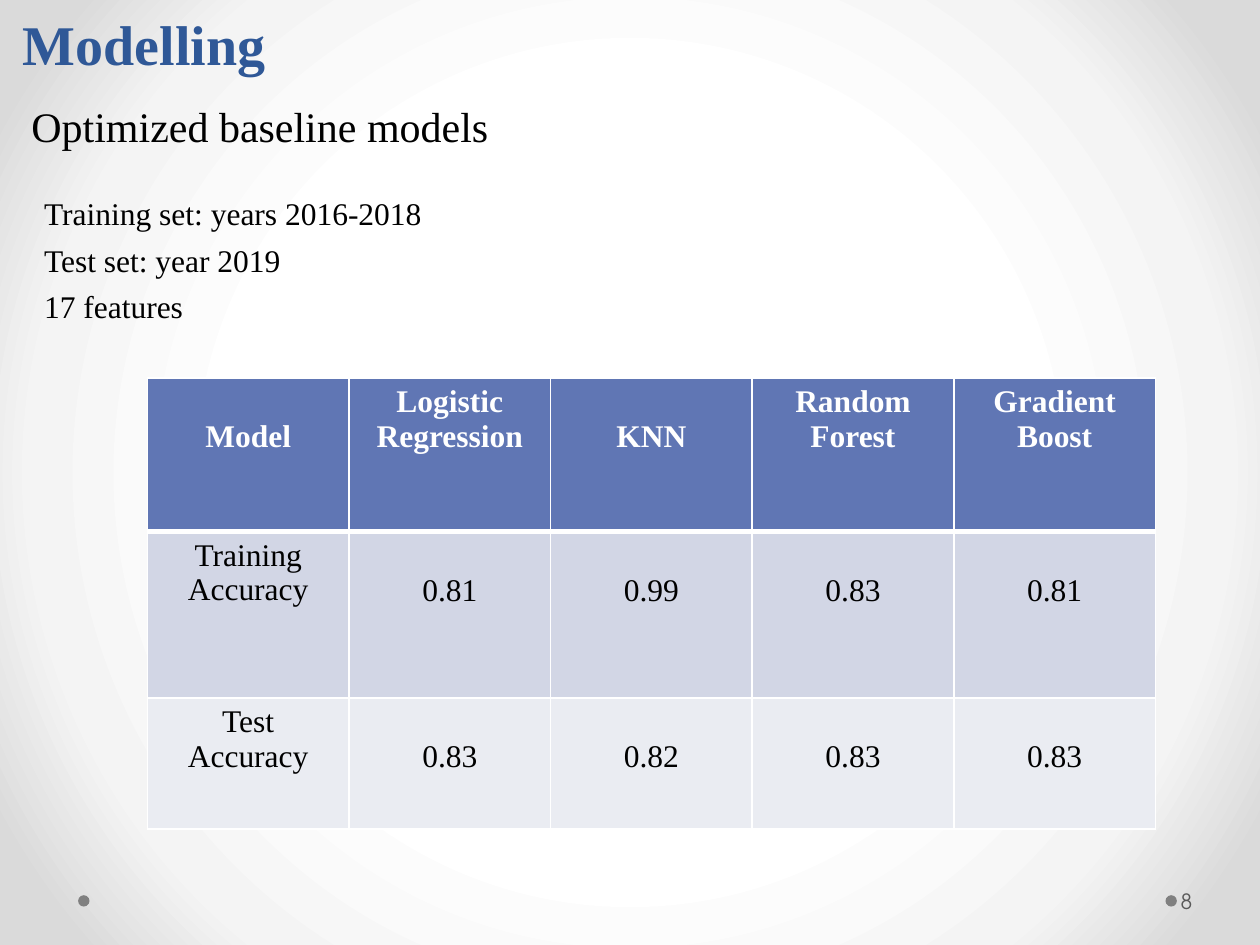
from dataclasses import dataclass

from lxml.etree import SubElement
from pptx import Presentation
from pptx.dml.color import RGBColor
from pptx.enum.shapes import MSO_SHAPE
from pptx.enum.text import MSO_ANCHOR, MSO_AUTO_SIZE, PP_ALIGN
from pptx.oxml import parse_xml
from pptx.oxml.ns import nsdecls, qn
from pptx.util import Inches, Pt


@dataclass(frozen=True)
class Theme:
    font: str = "Times New Roman"
    number_font: str = "TeX Gyre Adventor"
    title: str = "2F5897"
    text: str = "000000"
    white: str = "FFFFFF"
    header: str = "6076B4"
    bands: tuple = ("D2D6E5", "EAECF2")
    dot: str = "808080"
    number: str = "595959"
    backdrop: tuple = ((50, "FFFFFF"), (76, "F4F4F4"), (92, "DADADA"))
    title_size: int = 32
    subtitle_size: int = 24
    body_size: int = 18
    number_size: int = 12


THEME = Theme()
ACCURACY = [
    ["Model", "Logistic\nRegression", "KNN", "Random\nForest", "Gradient Boost"],
    ["Training Accuracy", "0.81", "0.99", "0.83", "0.81"],
    ["Test Accuracy", "0.83", "0.82", "0.83", "0.83"],
]
ROW_HEIGHTS = (1.22, 1.32, 1.04)


def place(part, box):
    part.left, part.top, part.width, part.height = map(Inches, box)


def style(frame, size, color=THEME.text, bold=False, font=THEME.font, align=None):
    for paragraph in frame.paragraphs:
        paragraph.alignment = align
        for run in paragraph.runs:
            run.font.name = font
            run.font.size = Pt(size)
            run.font.bold = bold
            run.font.color.rgb = RGBColor.from_string(color)


def paint_background(slide):
    """Fill the slide with a gradient that darkens outward from its centre."""
    stops = "".join(
        f'<a:gs pos="{position * 1000}"><a:srgbClr val="{color}"/></a:gs>'
        for position, color in THEME.backdrop
    )
    gradient = parse_xml(
        f'<a:gradFill {nsdecls("a")} rotWithShape="1"><a:gsLst>{stops}</a:gsLst>'
        '<a:path path="circle"><a:fillToRect l="50000" t="50000" r="50000" b="50000"/>'
        "</a:path></a:gradFill>"
    )
    slide.background.fill.solid()
    properties = slide.element.find(".//" + qn("p:bgPr"))
    properties.replace(properties[0], gradient)


def add_title(slide, box, text):
    title = slide.shapes.title
    place(title, box)
    frame = title.text_frame
    frame.text = text
    frame.auto_size = MSO_AUTO_SIZE.NONE
    frame.vertical_anchor = MSO_ANCHOR.BOTTOM
    frame.paragraphs[0].line_spacing = Pt(58)
    style(frame, THEME.title_size, THEME.title, bold=True, align=PP_ALIGN.JUSTIFY)


def add_data_notes(slide, box, lines):
    notes = slide.placeholders[1]
    place(notes, box)
    frame = notes.text_frame
    frame.text = "\n".join(lines)
    frame.auto_size = MSO_AUTO_SIZE.NONE
    frame.margin_top = Inches(0.08)
    for index, paragraph in enumerate(frame.paragraphs):
        properties = paragraph._p.get_or_add_pPr()
        properties.set("marL", "0")
        properties.set("indent", "0")
        SubElement(properties, qn("a:buNone"))
        paragraph.space_before = Pt(5 if index else 0)
    style(frame, THEME.body_size, align=PP_ALIGN.JUSTIFY)


def add_text(slide, box, text):
    label = slide.shapes.add_textbox(*map(Inches, box))
    frame = label.text_frame
    frame.word_wrap = True
    frame.text = text
    return frame


def add_subtitle(slide, box, text):
    style(add_text(slide, box, text), THEME.subtitle_size)


def add_cell_borders(cell, bottom_width):
    properties = cell._tc.get_or_add_tcPr()
    for side, width in (("L", 1), ("R", 1), ("T", 1), ("B", bottom_width)):
        line = SubElement(properties, qn(f"a:ln{side}"), w=str(Pt(width)))
        fill = SubElement(line, qn("a:solidFill"))
        SubElement(fill, qn("a:srgbClr"), val=THEME.white)


def add_accuracy_table(slide, box, rows, heights):
    frame = slide.shapes.add_table(len(rows), len(rows[0]), *map(Inches, box))
    table = frame.table
    for column in table.columns:
        column.width = Inches(box[2] / len(rows[0]))
    for row_index, (row, height) in enumerate(zip(rows, heights)):
        is_header = row_index == 0
        table.rows[row_index].height = Inches(height)
        for column_index, text in enumerate(row):
            cell = table.cell(row_index, column_index)
            # Single-line entries sit level with the second line of the others
            cell.margin_top = Inches(0.05 if len(text.split()) > 1 else 0.33)
            add_cell_borders(cell, 3 if row_index == 0 else 1)
            cell.fill.solid()
            fill = THEME.header if is_header else THEME.bands[row_index - 1]
            cell.fill.fore_color.rgb = RGBColor.from_string(fill)
            cell.text_frame.text = text
            color = THEME.white if is_header else THEME.text
            style(cell.text_frame, THEME.body_size, color, is_header,
                  align=PP_ALIGN.CENTER)


def add_footer(slide, box, number):
    """Place a dot at each end of the box, with the slide number after the last."""
    left, top, width, height = box
    dot_size = 0.09
    number_left = left + width
    for dot_left in (left, number_left - dot_size):
        dot = slide.shapes.add_shape(
            MSO_SHAPE.OVAL, Inches(dot_left), Inches(top + (height - dot_size) / 2),
            Inches(dot_size), Inches(dot_size))
        dot.shadow.inherit = False
        dot.fill.solid()
        dot.fill.fore_color.rgb = RGBColor.from_string(THEME.dot)
        dot.line.fill.background()
    frame = add_text(slide, (number_left, top, 0.61, height), number)
    frame.margin_left = Inches(0.03)
    frame.margin_right = Inches(0.05)
    frame.vertical_anchor = MSO_ANCHOR.MIDDLE
    style(frame, THEME.number_size, THEME.number, font=THEME.number_font)


def main():
    presentation = Presentation()
    presentation.slide_width = Inches(10)
    presentation.slide_height = Inches(7.5)
    slide = presentation.slides.add_slide(presentation.slide_layouts[1])
    paint_background(slide)
    add_footer(slide, (0.62, 6.95, 8.72, 0.4), "8")
    add_title(slide, (0.08, 0.04, 9.26, 0.62), "Modelling")
    add_accuracy_table(slide, (1.17, 3, 8, sum(ROW_HEIGHTS)), ACCURACY, ROW_HEIGHTS)
    add_data_notes(slide, (0.25, 1.46, 3.25, 1.29), [
        "Training set: years 2016-2018",
        "Test set: year 2019",
        "17 features",
    ])
    add_subtitle(slide, (0.15, 0.75, 4.02, 0.5), "Optimized baseline models")
    presentation.save("out.pptx")


if __name__ == "__main__":
    main()
